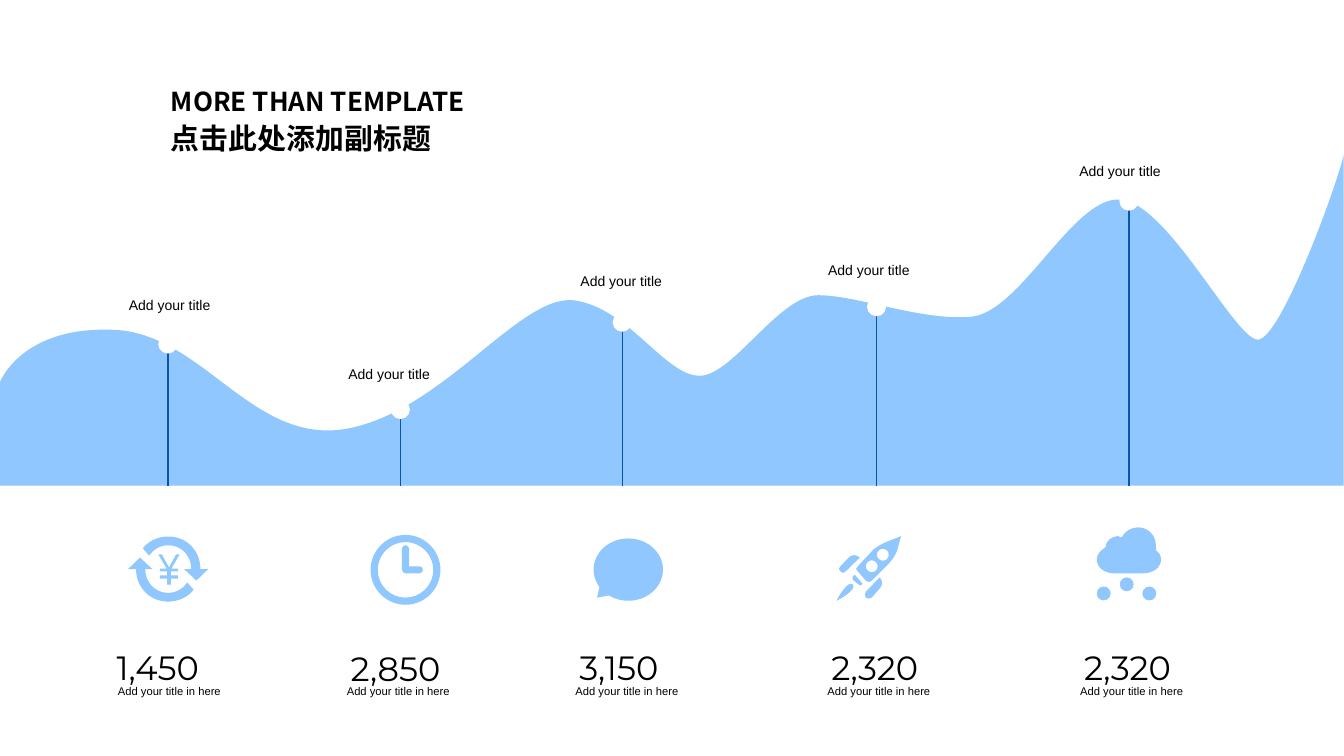
from lxml import etree
from pptx import Presentation
from pptx.dml.color import RGBColor
from pptx.enum.shapes import MSO_CONNECTOR, MSO_SHAPE
from pptx.enum.text import MSO_ANCHOR, MSO_AUTO_SIZE
from pptx.oxml.ns import qn
from pptx.util import Cm, Pt

SKY = RGBColor(0x90, 0xC7, 0xFF)
NAVY = RGBColor(0x09, 0x55, 0xAD)
WHITE = RGBColor(0xFF, 0xFF, 0xFF)
BLACK = RGBColor(0, 0, 0)
BASELINE = 12.24
DOT = 0.48

prs = Presentation()
prs.slide_width, prs.slide_height = Cm(33.87), Cm(19.05)
slide = prs.slides.add_slide(prs.slide_layouts[6])
shapes = slide.shapes


def paint(shape, color=SKY):
    shape.shadow.inherit = False
    shape.fill.solid()
    shape.fill.fore_color.rgb = color
    shape.line.fill.background()


def outline(*contours):
    """Closed contours in cm: two numbers make a line, six a Bezier curve."""
    builder = None
    for contour in contours:
        points = [(Cm(seg[i]), Cm(seg[i + 1]))
                  for seg in contour for i in range(0, len(seg), 2)]
        if builder is None:
            builder = shapes.build_freeform(*points[0], scale=1.0)
        else:
            builder.move_to(*points[0])
        builder.add_line_segments(points[1:], close=True)
    shape = builder.convert_to_shape()
    # Turn each run of three points into one cubic curve
    lines = iter(list(shape._element.iter(qn("a:lnTo"))))
    for seg in [seg for contour in contours for seg in contour[1:]]:
        first = next(lines)
        if len(seg) == 6:
            first.tag = qn("a:cubicBezTo")
            for extra in (next(lines), next(lines)):
                first.append(extra[0])
                extra.getparent().remove(extra)
    paint(shape)


# Wave
outline([(0, 9.63), (0, 9.63, 0.53, 8.23, 2.82, 8.31),
         (5.11, 8.36, 6.35, 11.25, 8.76, 10.8),
         (11.2, 10.34, 13.11, 7.39, 14.48, 7.57),
         (15.85, 7.77, 16.76, 9.47, 17.63, 9.47),
         (18.47, 9.47, 19.63, 7.44, 20.62, 7.44),
         (21.62, 7.44, 23.24, 8.1, 24.49, 7.98),
         (25.73, 7.85, 27.05, 4.95, 28.22, 5.03),
         (29.41, 5.08, 31.12, 8.56, 31.7, 8.56),
         (32.28, 8.56, 33.73, 4.57, 33.86, 3.91),
         (33.86, BASELINE), (0, BASELINE)])

# Milestones: stem x, dot top, title left and top, number, its left and top, caption left
milestones = [
    (4.23, 8.43, 3.0, 7.35, "1,450", 2.69, 16.17, 2.72),
    (10.09, 10.08, 8.53, 9.09, "2,850", 8.59, 16.2, 8.49),
    (15.68, 7.88, 14.38, 6.74, "3,150", 14.35, 16.17, 14.25),
    (22.09, 7.49, 20.62, 6.46, "2,320", 20.7, 16.17, 20.6),
    (28.45, 4.83, 26.95, 3.96, "2,320", 27.07, 16.17, 26.97),
]
for stem_x, dot_y, title_x, title_y, number, number_x, number_y, caption_x in milestones:
    stem = shapes.add_connector(MSO_CONNECTOR.STRAIGHT, Cm(stem_x), Cm(BASELINE),
                                Cm(stem_x), Cm(dot_y + DOT / 2))
    stem.line.color.rgb = NAVY
    stem.line.width = Pt(1)
    etree.SubElement(stem._element.spPr, qn("a:effectLst"))
    paint(shapes.add_shape(MSO_SHAPE.OVAL, Cm(stem_x - DOT / 2), Cm(dot_y),
                           Cm(DOT), Cm(DOT)), WHITE)
    for text, x, y, w, h, size, font in [
        ("Add your title ", title_x, title_y, 2.67, 0.69, 10, "Arial"),
        (number, number_x, number_y, 3.07, 1.27, 24, "Montserrat"),
        ("Add your title in here", caption_x, 17.12, 3.15, 0.61, 8, "Arial"),
    ]:
        frame = shapes.add_textbox(Cm(x), Cm(y), Cm(w), Cm(h)).text_frame
        frame.word_wrap = False
        frame.auto_size = MSO_AUTO_SIZE.SHAPE_TO_FIT_TEXT
        run = frame.paragraphs[0].add_run()
        run.text = text
        run.font.size, run.font.name = Pt(size), font
        run.font.color.rgb = BLACK

# Currency icon: two arrows, half a turn apart, around a yen sign
cx, cy = 4.24, 14.34
arrow = [(4.72, 14.68), (4.62, 14.83, 4.45, 14.94, 4.24, 14.94),
         (3.91, 14.94, 3.66, 14.68, 3.66, cy), (3.84, cy), (3.53, 14.05),
         (3.23, cy), (3.43, cy), (3.43, 14.81, 3.78, 15.16, 4.24, 15.16),
         (4.5, 15.16, 4.75, 15.04, 4.88, 14.86)]
turned_arrow = [tuple(2 * (cy if i % 2 else cx) - v for i, v in enumerate(seg))
                for seg in arrow]
yen_half = [(0.18, 13.97), (0.27, 13.97), (0.06, 14.33), (0.23, 14.33),
            (0.23, 14.4), (0.05, 14.4), (0.05, 14.5), (0.23, 14.5),
            (0.23, 14.58), (0.05, 14.58), (0.05, 14.73)]
yen = ([(cx + 0.02, 14.3)] + [(cx + 0.02 + dx, y) for dx, y in yen_half]
       + [(cx + 0.02 - dx, y) for dx, y in reversed(yen_half)])
outline(arrow, turned_arrow, yen)


def circle(x, y, r):
    k = 0.55 * r
    return [(x, y - r), (x + k, y - r, x + r, y - k, x + r, y),
            (x + r, y + k, x + k, y + r, x, y + r),
            (x - k, y + r, x - r, y + k, x - r, y),
            (x - r, y - k, x - k, y - r, x, y - r)]


# Clock
hands = [(10.57, 14.27), (10.31, 14.27), (10.31, 13.82),
         (10.31, 13.79, 10.27, 13.74, 10.22, 13.74),
         (10.18, 13.74, 10.13, 13.79, 10.13, 13.82), (10.13, 14.36),
         (10.13, 14.4, 10.18, 14.45, 10.22, 14.45), (10.57, 14.45),
         (10.62, 14.45, 10.66, 14.41, 10.66, 14.36),
         (10.66, 14.31, 10.62, 14.27, 10.57, 14.27)]
outline(circle(10.22, 14.36, 0.88), circle(10.22, 14.36, 0.7), hands)

# Speech bubble
bubble = shapes.add_shape(MSO_SHAPE.OVAL_CALLOUT, Cm(14.96), Cm(13.57), Cm(1.75), Cm(1.57))
bubble.adjustments[0], bubble.adjustments[1] = -0.45, 0.45
paint(bubble)

# Rocket: body with windows, fins, nozzle, flame
outline([(22.38, 13.64), (22.28, 13.67, 22.12, 13.77, 22.02, 13.84),
         (21.62, 14.27), (21.56, 14.3, 21.56, 14.38, 21.62, 14.4),
         (21.82, 14.63), (21.87, 14.68, 21.92, 14.68, 21.97, 14.63),
         (22.4, 14.2), (22.48, 14.12, 22.58, 13.97, 22.61, 13.87),
         (22.71, 13.51)],
        circle(21.97, 14.27, 0.15), circle(22.25, 13.98, 0.15))
outline([(21.31, 14.4), (21.67, 14.05), (21.59, 13.97, 21.46, 13.97, 21.39, 14.05),
         (21.18, 14.27), (21.13, 14.3, 21.13, 14.38, 21.18, 14.4),
         (21.21, 14.45, 21.29, 14.45, 21.31, 14.4)])
outline([(21.82, 14.91), (21.79, 14.96, 21.79, 15.01, 21.82, 15.06),
         (21.87, 15.09, 21.92, 15.09, 21.97, 15.06), (22.17, 14.83),
         (22.25, 14.76, 22.25, 14.63, 22.17, 14.55)])
outline([(21.49, 14.53), (21.49, 14.61), (21.64, 14.73),
         (21.67, 14.76, 21.69, 14.76, 21.72, 14.73), (21.74, 14.71), (21.54, 14.48)])
outline([(21.08, 15.14), (21.29, 15.04, 21.59, 14.83, 21.49, 14.73),
         (21.39, 14.63, 21.18, 14.94, 21.08, 15.14)])

# Cloud with snow
outline([(29.13, 13.87), (29.13, 13.74), (29.13, 13.49, 28.93, 13.29, 28.68, 13.29),
         (28.5, 13.29, 28.35, 13.39, 28.27, 13.54),
         (28.24, 13.54, 28.19, 13.51, 28.17, 13.51),
         (28.02, 13.51, 27.86, 13.64, 27.86, 13.79),
         (27.74, 13.87, 27.64, 13.97, 27.64, 14.1),
         (27.64, 14.3, 27.84, 14.45, 28.09, 14.45), (28.8, 14.45),
         (29.06, 14.45, 29.26, 14.3, 29.26, 14.1),
         (29.26, 14.0, 29.21, 13.92, 29.13, 13.87)])
for x, y in [(27.64, 14.78), (28.22, 14.55), (28.79, 14.78)]:
    paint(shapes.add_shape(MSO_SHAPE.OVAL, Cm(x), Cm(y), Cm(0.35), Cm(0.35)))

# Heading
heading = shapes.add_textbox(Cm(4.06), Cm(1.94), Cm(8.38), Cm(2.11)).text_frame
heading.word_wrap = True
heading.auto_size = MSO_AUTO_SIZE.SHAPE_TO_FIT_TEXT
heading.vertical_anchor = MSO_ANCHOR.MIDDLE
lines = [("MORE THAN TEMPLATE", 18.6), ("点击此处添加副标题", 20.6)]
for i, (text, size) in enumerate(lines):
    paragraph = heading.add_paragraph() if i else heading.paragraphs[0]
    paragraph.line_spacing = 1.1
    run = paragraph.add_run()
    run.text = text
    run.font.size, run.font.bold = Pt(size), True
    run.font.name = "Noto Sans CJK SC"
    run.font.color.rgb = BLACK
    east_asian = etree.SubElement(run.font._element, qn("a:ea"))
    east_asian.set("typeface", "Noto Sans CJK SC")

prs.save("out.pptx")
